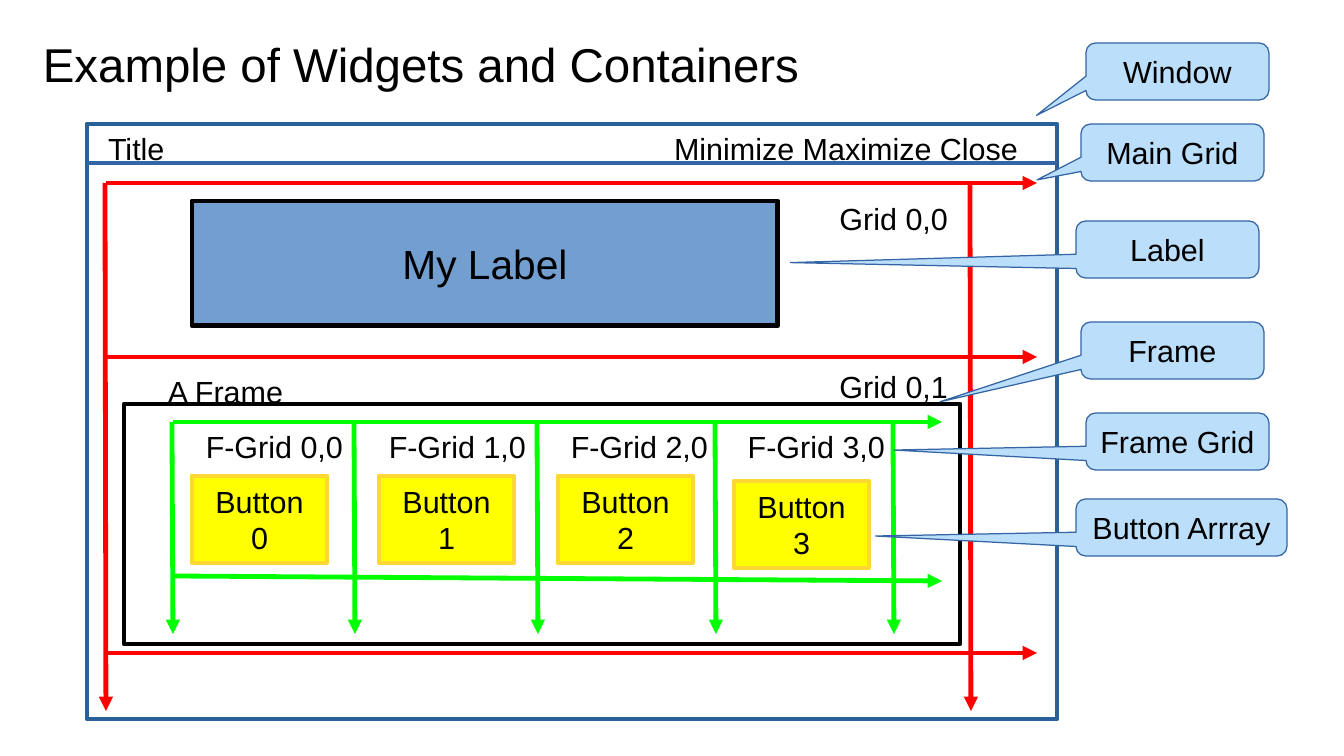
"""Build a slide that explains widgets and containers in a window."""
from dataclasses import dataclass

from lxml import etree
from pptx import Presentation
from pptx import util as u
from pptx.dml import color
from pptx.enum import shapes, text
from pptx.oxml import ns

COLORS = {
    "ink": "000000", "window": "2A6099", "bar": "3465A4", "main": "FF0000",
    "label": "729FCF", "grid": "00FF00", "button": "FFFF00",
    "button_edge": "FDD835", "callout": "BBDEFB",
}
LEFT, CENTER, RIGHT = (text.PP_ALIGN.LEFT, text.PP_ALIGN.CENTER, text.PP_ALIGN.RIGHT)
TOP, MIDDLE = text.MSO_ANCHOR.TOP, text.MSO_ANCHOR.MIDDLE
RECT = shapes.MSO_SHAPE.RECTANGLE
CALLOUT = shapes.MSO_SHAPE.ROUNDED_RECTANGULAR_CALLOUT


def px(*lengths):
    """Turn pixels into EMU."""
    return [u.Emu(round(n * 914400 / 122)) for n in lengths]


def rgb(name):
    """Look up a named colour."""
    return color.RGBColor.from_string(COLORS[name])


@dataclass
class Diagram:
    """Draw styled elements on the current slide."""
    s: object
    font: str = "Arial"
    size: int = 18
    weight: float = 2.83

    def label(self, sp, words, size=None, align=CENTER, anchor=MIDDLE, wrap=False, inset=(12, 6)):
        """Put formatted words into a shape."""
        tf = sp.text_frame
        tf.text = words
        x, y = px(*inset)
        frame = {"word_wrap": wrap, "vertical_anchor": anchor, "margin_left": x,
                 "margin_right": x, "margin_top": y, "margin_bottom": y}
        for key, value in frame.items():
            setattr(tf, key, value)
        for p in tf.paragraphs:
            p.alignment = align
            for r in p.runs:
                for key, value in {"name": self.font, "size": u.Pt(size or self.size)}.items():
                    setattr(r.font, key, value)
                r.font.color.rgb = rgb("ink")

    def caption(self, box, words, align=LEFT, **style):
        """Add a text box."""
        sp = self.s.shapes.add_textbox(*px(*box))
        self.label(sp, words, align=align, **{"anchor": TOP, "wrap": True, **style})

    def box(self, box, edge, fill=None, words=None, kind=RECT, weight=None, **style):
        """Add an outlined shape, with words if given."""
        sp = self.s.shapes.add_shape(kind, *px(*box))
        sp.shadow.inherit = False
        if fill:
            sp.fill.solid()
            sp.fill.fore_color.rgb = rgb(fill)
        else:
            sp.fill.background()
        sp.line.color.rgb = rgb(edge)
        sp.line.width = u.Pt(self.weight if weight is None else weight)
        if words:
            self.label(sp, words, **style)
        return sp

    def callout(self, box, words, tip):
        """Add a callout whose tip is offset from its centre by shares of its size."""
        sp = self.box(box, "bar", "callout", words, CALLOUT, 0)
        for i, value in enumerate((*tip, 0.17)):
            sp.adjustments[i] = value

    def line(self, ends, name, arrow=True):
        """Add a straight line or arrow."""
        sp = self.s.shapes.add_connector(shapes.MSO_CONNECTOR.STRAIGHT, *px(*ends))
        sp.line.color.rgb = rgb(name)
        sp.line.width = u.Pt(self.weight)
        props = sp._element.spPr
        if arrow:
            etree.SubElement(props.find(ns.qn("a:ln")), ns.qn("a:tailEnd"), type="triangle")
        etree.SubElement(props, ns.qn("a:effectLst"))


def main():
    """Draw the window, its grids and the callouts."""
    prs = Presentation()
    prs.slide_width, prs.slide_height = px(1344, 756)
    d = Diagram(prs.slides.add_slide(prs.slide_layouts[6]))

    d.caption((43, 26, 1210, 76), "Example of Widgets and Containers",
              size=28, anchor=MIDDLE, inset=(0, 0))
    d.box((87, 124, 970, 595), "window")
    d.line((87, 163, 1057, 163), "bar", arrow=False)
    d.caption((96, 124, 404, 46), "Title")
    d.caption((662, 124, 384, 46), "Minimize Maximize Close")

    for y in (183, 653, 357):
        d.line((106, y, 1037, y), "main")
    for x in (105, 970):
        d.line((x, 183, x + 1, 711), "main")
    for row, y in enumerate((194, 362)):
        d.caption((826, y, 134, 46), f"Grid 0,{row}", RIGHT)
    d.box((192, 201, 586, 125), "ink", "label", "My Label", size=24)

    d.box((124, 404, 836, 240), "ink")
    d.caption((134, 367, 183, 46), "A Frame", CENTER)
    for start, end in ((422, 422), (576, 581)):
        d.line((173, start, 942, end), "grid")
    for x in (172, 354, 537, 715, 893):
        d.line((x, 422, x + 1, 634), "grid")
    cells = ((192, 476, 173), (379, 476, 356), (558, 476, 538), (734, 481, 715))
    for n, (x, y, cell) in enumerate(cells):
        d.box((x, y, 135, 87), "button_edge", "button", f"Button\n{n}", inset=(15, 9))
        d.caption((cell, 422, 182, 52), f"F-Grid {n},0", RIGHT)

    callouts = (
        ("Window", 1086, 43, 183, (-0.77, 0.77)),
        ("Main Grid", 1081, 124, 183, (-0.74, 0.48)),
        ("Label", 1076, 221, 183, (-2.06, 0.23)),
        ("Frame", 1081, 322, 183, (-1.27, 0.9)),
        ("Frame Grid", 1086, 413, 183, (-1.55, 0.15)),
        ("Button Arrray", 1076, 499, 211, (-1.45, 0.15)),
    )
    for words, x, y, width, tip in callouts:
        d.callout((x, y, width, 57), words, tip)
    prs.save("out.pptx")


if __name__ == "__main__":
    main()
